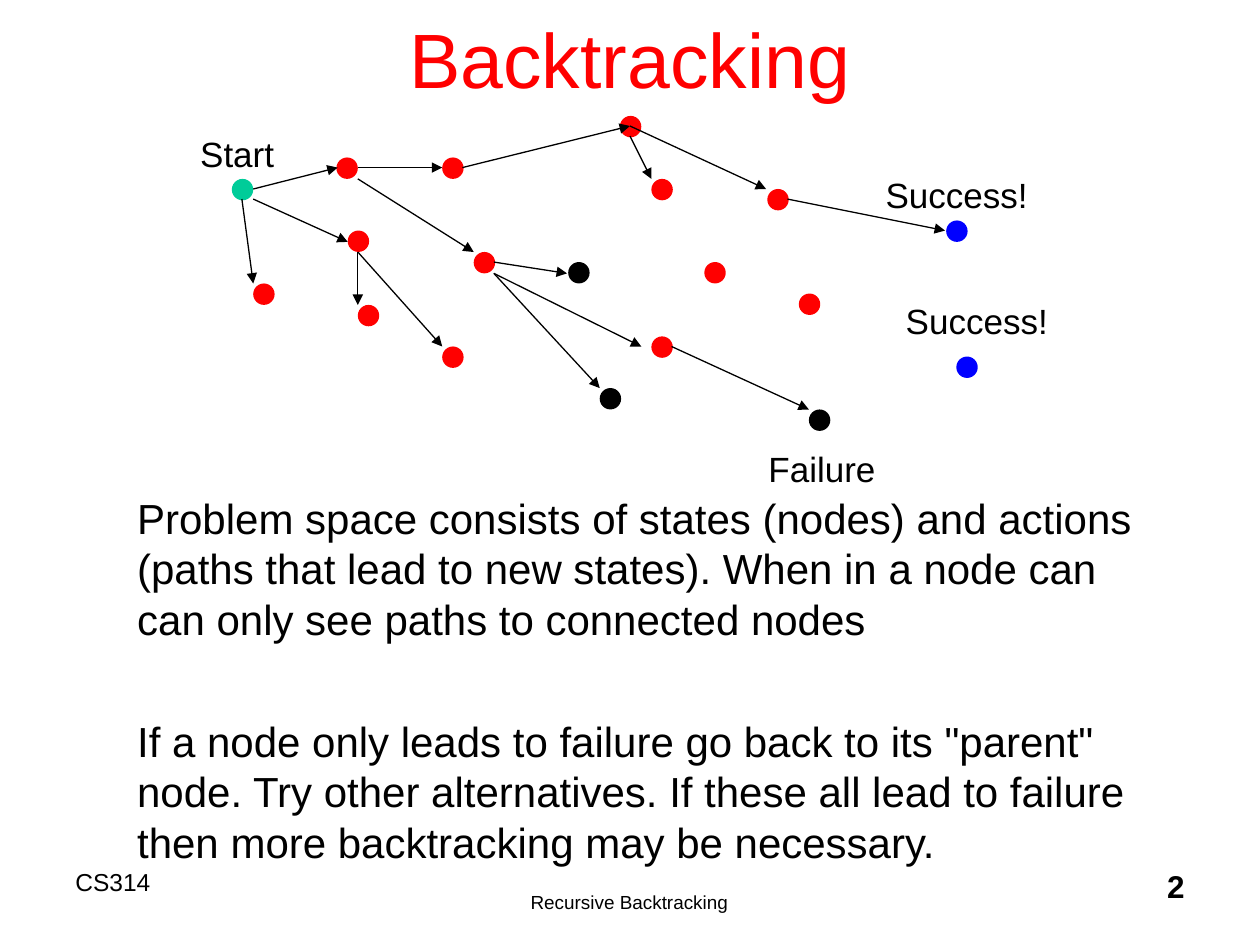
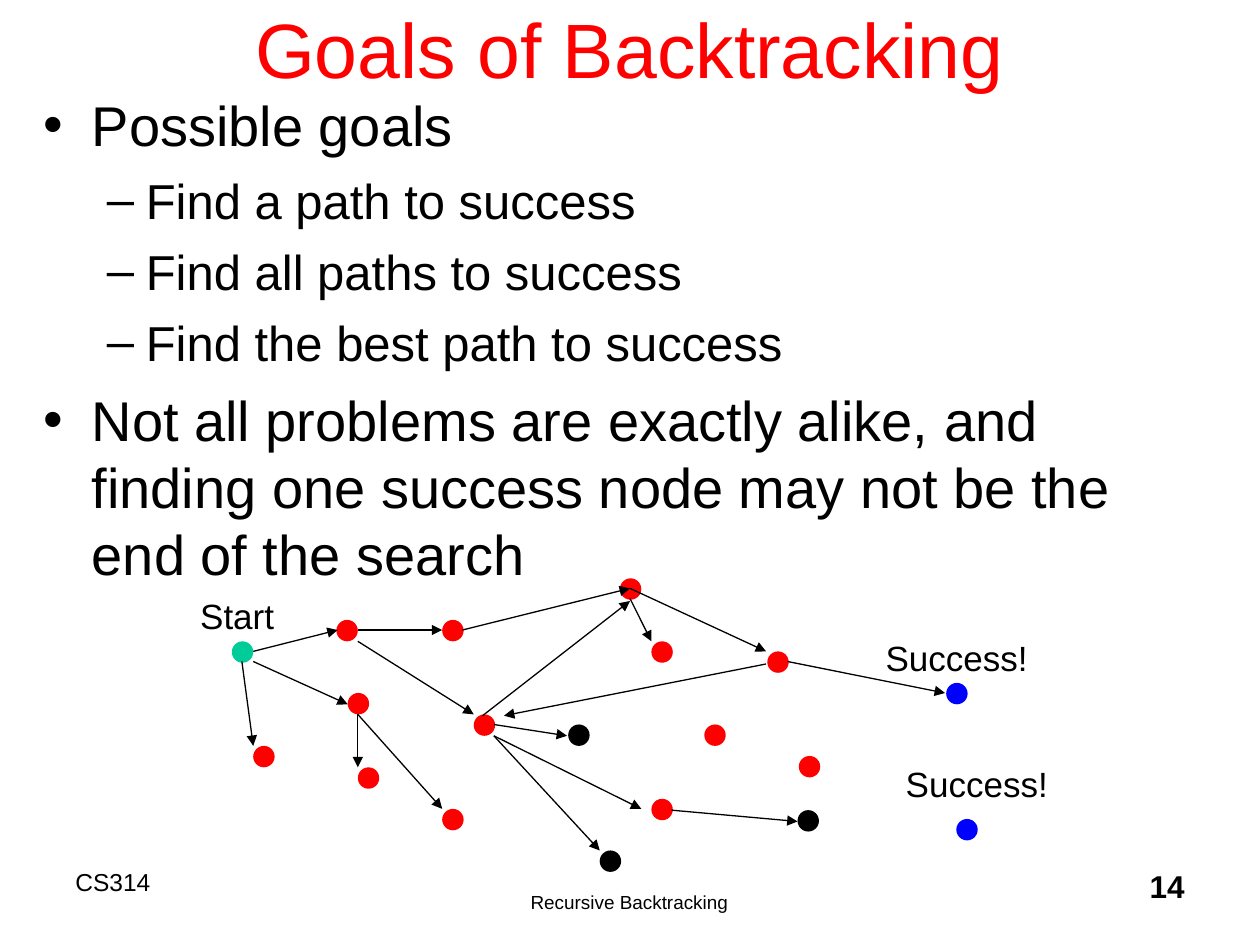
import pptx
import pptx.util
import pptx.dml.color
import pptx.enum.shapes
import pptx.enum.text
import pptx.oxml
import pptx.oxml.ns

Inches, Pt = pptx.util.Inches, pptx.util.Pt
Align = pptx.enum.text.PP_ALIGN
Kind = pptx.enum.shapes.MSO_SHAPE
Link = pptx.enum.shapes.MSO_CONNECTOR
NS = pptx.oxml.ns.nsdecls("a")

COLORS = {"title": "FF0000", "text": "000000", "start": "00CC99",
          "open": "FF0000", "dead": "000000", "goal": "0000FF"}
FONT = "Arial"
DOT = 0.17


def tint(name):
    return pptx.dml.color.RGBColor.from_string(COLORS[name])


def write(slide, at, lines, size, color="text", align=Align.LEFT, wrap=True,
          bold=False, mid=False):
    """Add a text box; each line is (text, space before, size or None)."""
    box = slide.shapes.add_textbox(*[Inches(v) for v in at])
    frame = box.text_frame
    frame.word_wrap = wrap
    if not wrap:
        frame.auto_size = pptx.enum.text.MSO_AUTO_SIZE.SHAPE_TO_FIT_TEXT
    if mid:
        frame.vertical_anchor = pptx.enum.text.MSO_ANCHOR.MIDDLE
    for i, (text, gap, own) in enumerate(lines):
        para = frame.paragraphs[0] if i == 0 else frame.add_paragraph()
        para.alignment = align
        para.space_before = Pt(gap)
        for j, part in enumerate(text.split("\n")):
            if j:
                para.add_line_break()
            run = para.add_run()
            run.text = part
            run.font.name = FONT
            run.font.size = Pt(own or size)
            run.font.bold = bold
            run.font.color.rgb = tint(color)
    return frame


# Search graph, shared by both slides: top left corners of the nodes
NODES = {
    "start": [(1.84, 1.42)],
    "open": [(2.01, 2.25), (2.76, 1.83), (3.76, 2), (3.51, 1.25),
             (2.67, 1.25), (2.84, 2.42), (4.92, 0.92), (5.17, 2.67),
             (5.17, 1.42), (5.59, 2.08), (3.51, 2.75), (6.34, 2.33),
             (6.09, 1.5)],
    "dead": [(4.76, 3.08), (4.51, 2.08)],
    "goal": [(7.51, 1.75), (7.59, 2.83)],
}
EDGES = [
    (2.01, 1.5, 2.68, 1.33), (2.01, 1.58, 2.76, 1.92),
    (1.92, 1.58, 2.01, 2.25), (2.84, 1.33, 3.51, 1.33),
    (2.84, 1.42, 3.76, 2), (2.84, 2, 2.84, 2.42),
    (2.84, 2, 3.51, 2.75), (3.92, 2.17, 5.09, 2.75),
    (3.92, 2.17, 4.76, 3.08), (3.92, 2.08, 4.5, 2.17),
    (3.67, 1.33, 5, 1), (5, 1.08, 5.17, 1.42),
    (5, 1, 6.08, 1.5), (6.25, 1.58, 7.5, 1.83),
]
LABELS = [("Start", 1.49, 1, 0.79), ("Success!", 6.93, 1.33, 1.33),
          ("Success!", 7.09, 2.33, 1.33)]

# What differs: number, title, title top, graph drop, last node, extra
# edges, extra labels
PAGES = [
    ("2", "Backtracking", -0.17, 0, (6.42, 3.25),
     [(5.33, 2.75, 6.42, 3.25)], [("Failure", 6, 3.5, 1.05)]),
    ("14", "Goals of Backtracking", -0.25, 3.67, (6.33, 2.76),
     [(5.33, 2.76, 6.33, 2.85), (3.83, 2.01, 5, 1.1),
      (6.08, 1.6, 4, 2.01)], []),
]

# Body text
STATES = [
    ("Problem space consists of states (nodes) and actions\n"
     "(paths that lead to new states). When in a node can\n"
     "can only see paths to connected nodes", 6, None),
    ("If a node only leads to failure go back to its \"parent\"\n"
     "node. Try other alternatives. If these all lead to failure\n"
     "then more backtracking may be necessary.", 41, None),
]
GOALS = [
    ("Possible goals", 8, 32),
    ("Find a path to success", 7, 28),
    ("Find all paths to success", 7, 28),
    ("Find the best path to success", 7, 28),
    ("Not all problems are exactly alike, and finding one success node "
     "may not be the end of the search", 8, 32),
]

deck = pptx.Presentation()
deck.slide_width, deck.slide_height = Inches(10), Inches(7.5)

for page, title, top, drop, last, more, notes in PAGES:
    slide = deck.slides.add_slide(deck.slide_layouts[6])

    # Footer and title
    write(slide, (0.5, 6.83, 2.5, 0.5), [("CS314", 0, None)], 14)
    foot = write(slide, (3.08, 6.83, 3.83, 0.5),
                 [("Recursive Backtracking", 0, None)], 10.8,
                 align=Align.CENTER)
    foot.margin_top = Inches(0.24)
    write(slide, (7.42, 6.83, 2.08, 0.5), [(page, 0, None)], 18,
          align=Align.RIGHT, bold=True)
    write(slide, (0.75, top, 8.5, 1.25), [(title, 0, None)], 44, "title",
          Align.CENTER, mid=True)

    # Body
    if page == "2":
        write(slide, (0.99, 3.86, 8.09, 3.07), STATES, 24, wrap=False)
    else:
        body = write(slide, (0.25, 0.67, 9.5, 6), GOALS, 32)
        for para, (text, gap, size) in zip(body.paragraphs, GOALS):
            sub = size == 28
            para.level = int(sub)
            mark, left, hang = ("–", 0.81, 0.31) if sub else ("•", 0.38, 0.38)
            props = para._p.get_or_add_pPr()
            props.set("marL", str(Inches(left)))
            props.set("indent", str(-Inches(hang)))
            for tag in (f'<a:buFont {NS} typeface="{FONT}"/>',
                        f'<a:buChar {NS} char="{mark}"/>'):
                props.append(pptx.oxml.parse_xml(tag))

    # Nodes
    for kind, spots in NODES.items():
        for x, y in spots + ([last] if kind == "dead" else []):
            dot = slide.shapes.add_shape(Kind.OVAL, Inches(x), Inches(y + drop),
                                         Inches(DOT), Inches(DOT))
            dot.shadow.inherit = False
            dot.fill.solid()
            dot.fill.fore_color.rgb = tint(kind)
            dot.line.fill.background()

    # Labels
    for text, x, y, wide in LABELS + notes:
        write(slide, (x, y + drop, wide, 0.44), [(text, 5, None)], 20,
              wrap=False)

    # Arrows
    for x1, y1, x2, y2 in EDGES + more:
        line = slide.shapes.add_connector(
            Link.STRAIGHT, Inches(x1), Inches(y1 + drop),
            Inches(x2), Inches(y2 + drop))
        line.line.width = Pt(0.75)
        line.line.color.rgb = tint("text")
        line.line._get_or_add_ln().append(
            pptx.oxml.parse_xml(f'<a:tailEnd {NS} type="triangle"/>'))
        line._element.spPr.append(
            pptx.oxml.parse_xml(f'<a:effectLst {NS}/>'))

deck.save("out.pptx")
